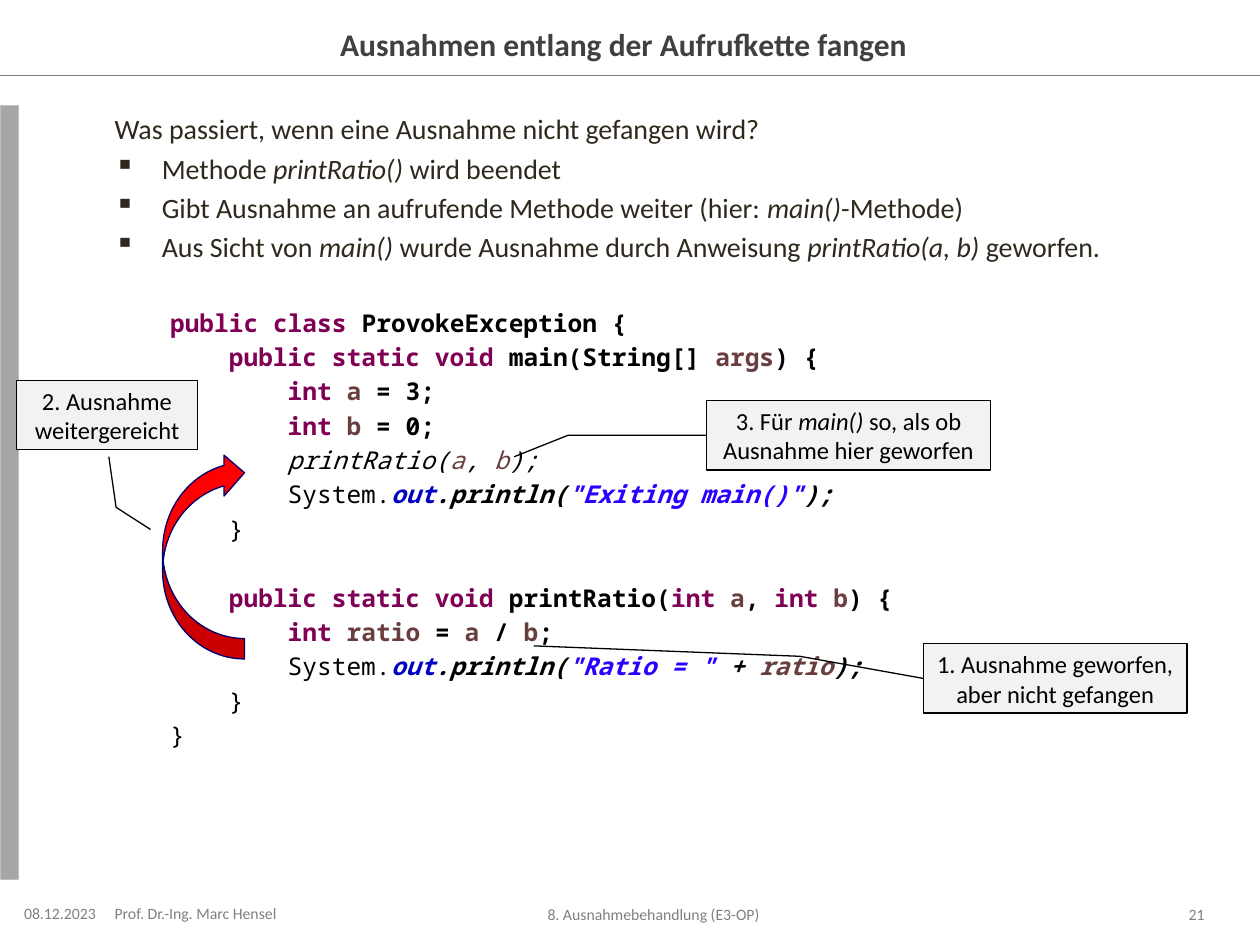
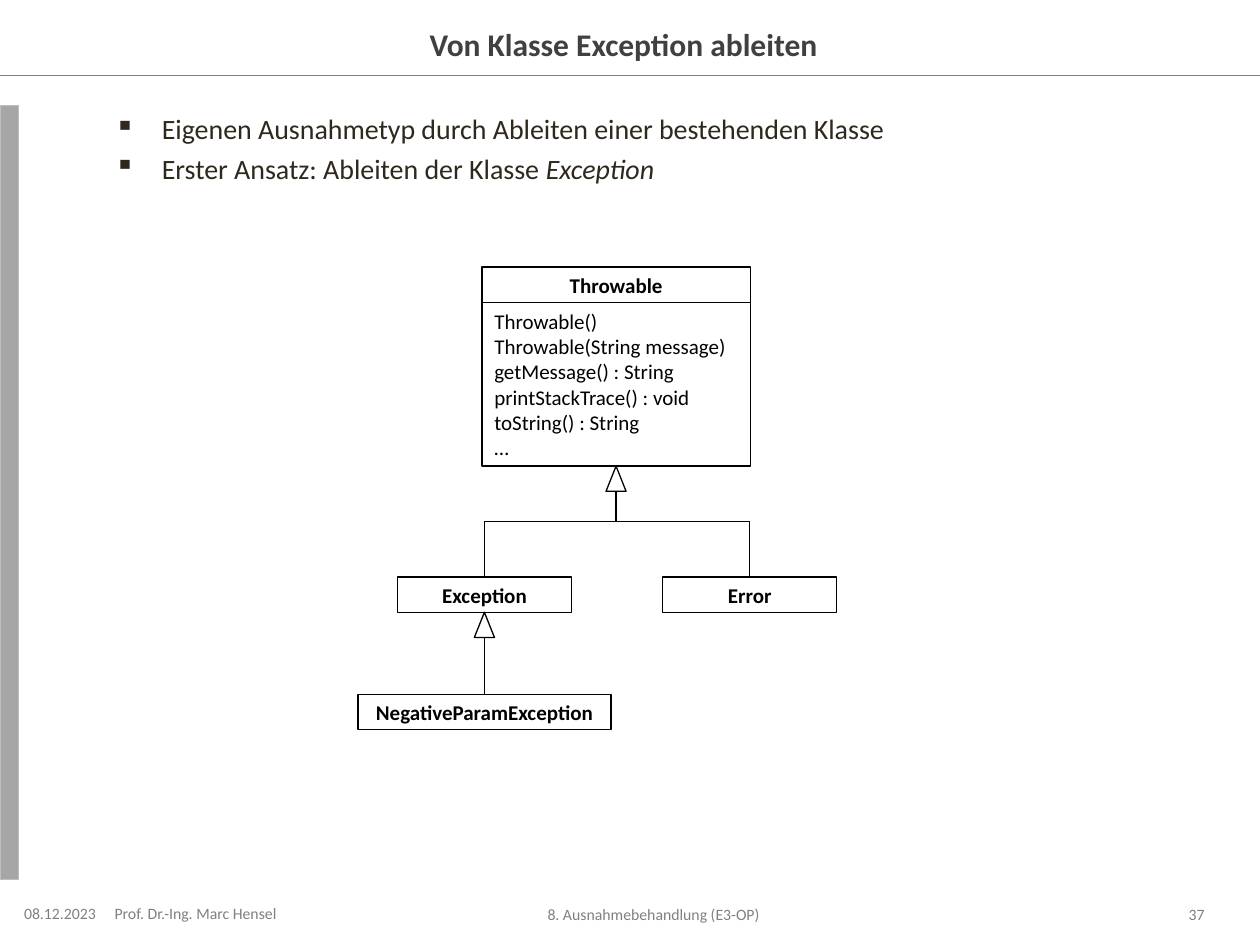
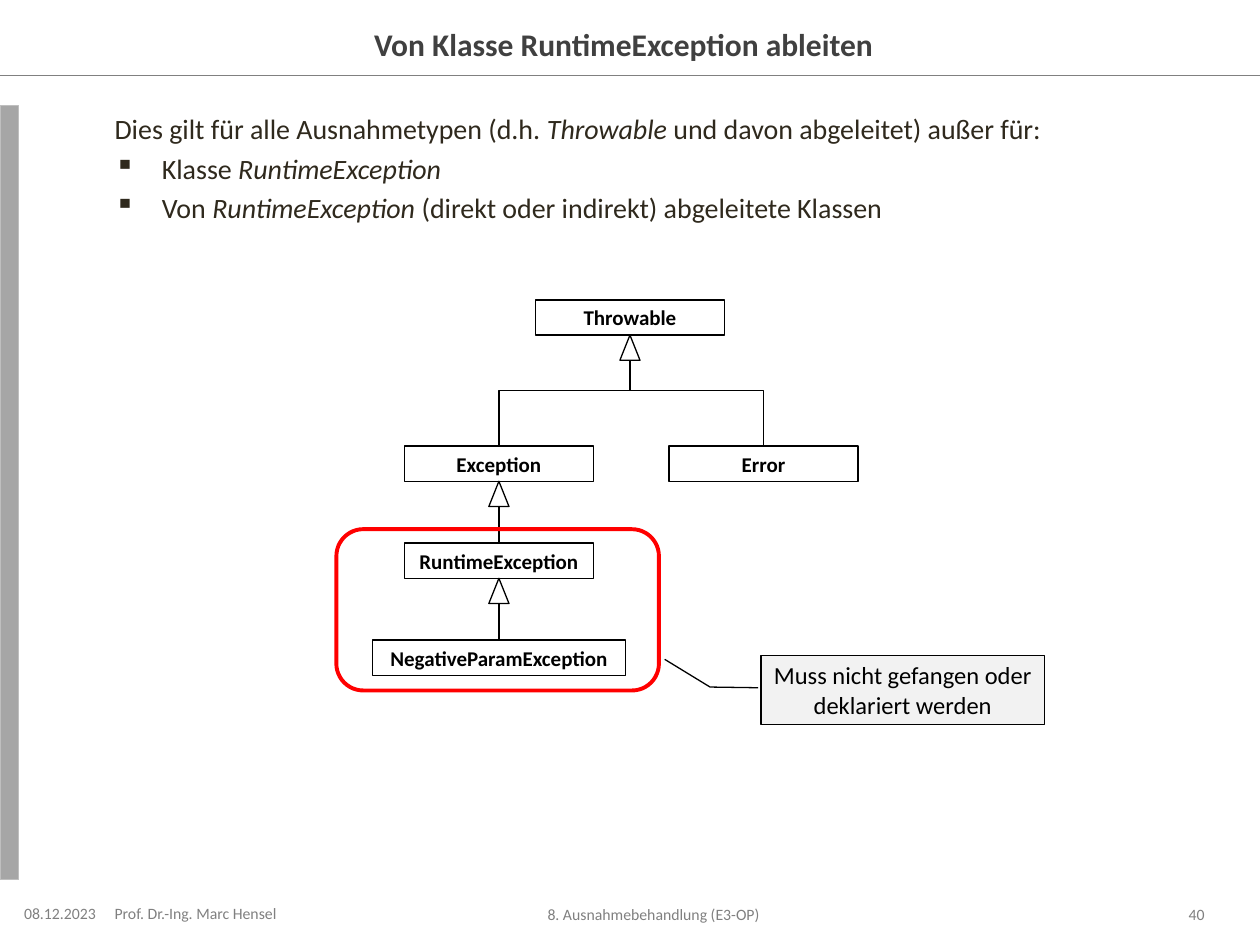
from lxml.etree import SubElement
from pptx import Presentation
from pptx.dml.color import RGBColor
from pptx.enum.shapes import MSO_CONNECTOR as LINE, MSO_SHAPE as SHAPE
from pptx.enum.text import MSO_ANCHOR as ANCHOR, PP_ALIGN as ALIGN
from pptx.oxml.ns import qn
from pptx.util import Inches, Pt

COLORS = {
    "black": "000000", "white": "FFFFFF", "title": "404040", "body": "2F291D",
    "footer": "808080", "bar": "A6A6A6", "bar_edge": "BFBFBF", "note": "F2F2F2",
    "red": "FF0000", "navy": "000070",
}
# Code styles: one letter for the colour, then b (bold) and i (italic)
CODE_COLORS = {"t": "000000", "k": "7F0055", "v": "6A3E3E", "f": "0000C0", "s": "2A00FF"}
SANS, MONO = "Calibri", "Noto Sans Mono"
COLS = 100               # square grid cells across the slide
TEXT_INSETS = (0, 0.5, 1, 0.5)
BOX_INSETS = (1, 0.5, 1, 0.5)
BOX_H = 2.8              # height of a class box
HEAD_W, HEAD_H = 1.6, 2  # inheritance arrowhead
CODE_LEFT, CODE_TAB = 4.4, 4.67
CHAPTER, AUTHOR, DATE = "8. Ausnahmebehandlung (E3-OP)", "Prof. Dr.-Ing. Marc Hensel", "08.12.2023"


def rgb(name):
    return RGBColor.from_string(COLORS.get(name, name))


class Deck:
    def __init__(self):
        self.prs = Presentation()
        self.prs.slide_width, self.prs.slide_height = Inches(10), Inches(7.5)
        self.cell = self.prs.slide_width / COLS
        self.slide = None

    def grid(self, *cells):
        return [round(c * self.cell) for c in cells]

    # Text
    def frame(self, sp, insets=BOX_INSETS, anchor=ANCHOR.MIDDLE):
        tf = sp.text_frame
        tf.word_wrap, tf.vertical_anchor = True, anchor
        (tf.margin_left, tf.margin_top,
         tf.margin_right, tf.margin_bottom) = self.grid(*insets)
        return tf

    def run(self, p, text, size, color="black", bold=False, italic=False, font=SANS):
        r = p.add_run()
        r.text = text
        r.font.name, r.font.size = font, Pt(size)
        r.font.bold, r.font.italic = bold, italic
        r.font.color.rgb = rgb(color)

    def marked(self, p, text, size, color="black", bold=False):
        """Add runs; parts between asterisks are italic."""
        for i, part in enumerate(text.split("*")):
            if part:
                self.run(p, part, size, color, bold, italic=i % 2 == 1)

    def lines(self, tf, texts, size, color="black", bold=False, align=ALIGN.LEFT):
        for i, text in enumerate(texts):
            p = tf.add_paragraph() if i else tf.paragraphs[0]
            p.alignment = align
            self.marked(p, text, size, color, bold)

    def label(self, at, text, align, insets=TEXT_INSETS):
        sp = self.slide.shapes.add_textbox(*self.grid(*at))
        self.lines(self.frame(sp, insets), [text], 9, "footer", align=align)

    def spacing(self, p, left=0, hang=0, gap=None):
        pPr = p._p.get_or_add_pPr()
        pPr.set("marL", str(self.grid(left)[0]))
        pPr.set("indent", str(self.grid(-hang)[0]))
        if gap:
            p.space_before = Pt(gap)
        else:
            before = SubElement(pPr, qn("a:spcBef"))
            SubElement(before, qn("a:spcPct")).set("val", "20000")
        if hang:
            SubElement(pPr, qn("a:buChar")).set("char", "▪")

    def body(self, texts, code=()):
        """Texts starting with "- " are bullets; code lines are (level, gap, runs)."""
        sp = self.slide.shapes.add_textbox(*self.grid(9.1, 8.4, 86.6, 61.4))
        tf = self.frame(sp, TEXT_INSETS, ANCHOR.TOP)
        for i, text in enumerate(texts):
            p = tf.add_paragraph() if i else tf.paragraphs[0]
            indent = 3.75 if text.startswith("- ") else 0
            self.spacing(p, indent, indent)
            self.marked(p, text.removeprefix("- "), 16, "body")
        for level, gap, runs in code:
            p = tf.add_paragraph()
            self.spacing(p, CODE_LEFT + level * CODE_TAB, gap=gap)
            for style, text in runs:
                self.run(p, text, 14, CODE_COLORS[style[0]], "b" in style, "i" in style, MONO)

    # Shapes and lines
    def shape(self, kind, at, fill=None, line="black", width=0.75):
        sp = self.slide.shapes.add_shape(kind, *self.grid(*at))
        sp.shadow.inherit = False
        if fill:
            sp.fill.solid()
            sp.fill.fore_color.rgb = rgb(fill)
        else:
            sp.fill.background()
        sp.line.color.rgb, sp.line.width = rgb(line), Pt(width)
        return sp

    def line(self, kind, start=(0, 0), end=(0, 0), color="black"):
        c = self.slide.shapes.add_connector(kind, *self.grid(*start, *end))
        c.line.color.rgb, c.line.width = rgb(color), Pt(0.75)
        SubElement(c._element.spPr, qn("a:effectLst"))
        return c

    def callout(self, at, text, adjustments):
        sp = self.shape(SHAPE.LINE_CALLOUT_2, at, "note")
        for i, value in enumerate(adjustments):
            sp.adjustments[i] = value
        self.lines(self.frame(sp), [text], 14, align=ALIGN.CENTER)

    # Class diagram
    def class_box(self, center, top, width, name):
        sp = self.shape(SHAPE.RECTANGLE, (center - width / 2, top, width, BOX_H), "white")
        self.lines(self.frame(sp), [name], 12, bold=True, align=ALIGN.CENTER)
        return sp

    def members(self, at, texts):
        sp = self.shape(SHAPE.RECTANGLE, at, "white")
        self.lines(self.frame(sp, anchor=ANCHOR.TOP), texts, 12)
        return sp

    def inherit(self, parent, *children):
        for child in children:
            c = self.line(LINE.ELBOW if len(children) > 1 else LINE.STRAIGHT)
            c.begin_connect(child, 0)
            c.end_connect(parent, 2)
            if len(children) > 1:
                self.upright(c)
        x = (parent.left + parent.width / 2) / self.cell
        y = (parent.top + parent.height) / self.cell
        self.shape(SHAPE.ISOSCELES_TRIANGLE, (x - HEAD_W / 2, y, HEAD_W, HEAD_H), "white")

    def upright(self, c):
        """Turn an elbow so that it leaves its child upwards."""
        dx, dy = c.end_x - c.begin_x, c.begin_y - c.end_y
        mid_x, mid_y = (c.begin_x + c.end_x) // 2, (c.begin_y + c.end_y) // 2
        c.width, c.height = dy, abs(dx)
        c.left, c.top = mid_x - dy // 2, mid_y - abs(dx) // 2
        xfrm = c._element.spPr.find(qn("a:xfrm"))
        xfrm.set("rot", str(270 * 60000))
        xfrm.set("flipH", "0")
        xfrm.set("flipV", "1" if dx < 0 else "0")

    # Slide with title, bands and footer
    def new_slide(self, title, number):
        self.slide = self.prs.slides.add_slide(self.prs.slide_layouts[5])
        self.line(LINE.STRAIGHT, (0, 6), (COLS, 6), "footer")
        self.shape(SHAPE.RECTANGLE, (0, 8.4, 1.5, 61.4), "bar", "bar_edge")
        sp = self.slide.shapes.title
        sp.left, sp.top, sp.width, sp.height = self.grid(12.4, 1.5, 75.2, 3.9)
        self.lines(self.frame(sp, TEXT_INSETS), [title], 18, "title", True, ALIGN.CENTER)
        self.label((24.8, 71.8, 55.1, 1.5), CHAPTER, ALIGN.CENTER)
        self.label((1.5, 71.7, 7.5, 1.6), DATE, ALIGN.CENTER)
        self.label((9.1, 71.7, 15, 1.5), AUTHOR, ALIGN.LEFT)
        self.label((89.2, 71.8, 6.4, 1.5), str(number), ALIGN.RIGHT, (1, 0.5, 0, 0.5))


def call_chain(deck):
    deck.new_slide("Ausnahmen entlang der Aufrufkette fangen", 21)
    deck.body([
        "Was passiert, wenn eine Ausnahme nicht gefangen wird?",
        "- Methode *printRatio()* wird beendet",
        "- Gibt Ausnahme an aufrufende Methode weiter (hier: *main()*-Methode)",
        "- Aus Sicht von *main()* wurde Ausnahme durch Anweisung *printRatio(a, b)* geworfen.",
    ], [
        (0, 25.5, [("kb", "public class "), ("tb", "ProvokeException {")]),
        (1, None, [("kb", "public static void"), ("tb", " main(String[] "), ("vb", "args"),
                   ("tb", ") {")]),
        (2, None, [("kb", "int "), ("vb", "a"), ("tb", " = 3;")]),
        (2, None, [("kb", "int "), ("vb", "b"), ("tb", " = 0;")]),
        (2, None, [("ti", "printRatio("), ("vi", "a"), ("ti", ", "), ("vi", "b"), ("ti", ");")]),
        (2, None, [("t", "System."), ("fbi", "out"), ("tbi", ".println("),
                   ("sbi", '"Exiting main()"'), ("tbi", ");")]),
        (1, None, [("t", "}")]),
        (1, 22.5, [("kb", "public static void "), ("tb", "printRatio("), ("kb", "int "),
                   ("vb", "a"), ("tb", ", "), ("kb", "int "), ("vb", "b"), ("tb", ") {")]),
        (2, None, [("kb", "int "), ("vb", "ratio"), ("tb", " = "), ("vb", "a"), ("tb", " / "),
                   ("vb", "b"), ("tb", ";")]),
        (2, None, [("t", "System."), ("fbi", "out"), ("tbi", ".println("), ("sbi", '"Ratio = "'),
                   ("tbi", " + "), ("vbi", "ratio"), ("tbi", ");")]),
        (1, None, [("t", "}")]),
        (0, None, [("t", "}")]),
    ])
    deck.callout((73.3, 51.1, 20.9, 5.5), "1. Ausnahme geworfen, aber nicht gefangen",
                 (0.5, 0, 0.18, -0.47, 0.03, -1.48))
    deck.callout((56.1, 31.8, 22.5, 5.5), "3. Für *main()* so, als ob Ausnahme hier geworfen",
                 (0.5, 0, 0.5, -0.49, 0.81, -0.68))
    arrow = deck.shape(SHAPE.CURVED_RIGHT_ARROW, (12.9, 35.9, 6.5, 16.4), "red", "navy")
    arrow.rotation = 180
    arrow._element.spPr.find(qn("a:xfrm")).set("flipH", "1")
    deck.callout((1.3, 30.2, 14.4, 5.5), "2. Ausnahme weitergereicht",
                 (1.1, 0.51, 1.83, 0.55, 2.15, 0.74))


def derive_exception(deck):
    deck.new_slide("Von Klasse Exception ableiten", 37)
    deck.body([
        "- Eigenen Ausnahmetyp durch Ableiten einer bestehenden Klasse",
        "- Erster Ansatz: Ableiten der Klasse *Exception*",
    ])
    deck.class_box(48.9, 21.2, 21.3, "Throwable")
    throwable = deck.members((38.25, 24, 21.3, 13), [
        "Throwable()", "Throwable(String message)", "getMessage() : String",
        "printStackTrace() : void", "toString() : String", "…",
    ])
    exception = deck.class_box(38.45, 45.8, 13.8, "Exception")
    error = deck.class_box(59.5, 45.8, 13.8, "Error")
    negative = deck.class_box(38.45, 55.1, 20.1, "NegativeParamException")
    deck.inherit(throwable, exception, error)
    deck.inherit(exception, negative)


def derive_runtime_exception(deck):
    deck.new_slide("Von Klasse RuntimeException ableiten", 40)
    deck.body([
        "Dies gilt für alle Ausnahmetypen (d.h. *Throwable* und davon abgeleitet) außer für:",
        "- Klasse *RuntimeException*",
        "- Von *RuntimeException* (direkt oder indirekt) abgeleitete Klassen",
    ])
    throwable = deck.class_box(50, 23.8, 15, "Throwable")
    exception = deck.class_box(39.6, 35.4, 15, "Exception")
    error = deck.class_box(60.6, 35.4, 15, "Error")
    runtime = deck.class_box(39.6, 43.1, 15, "RuntimeException")
    negative = deck.class_box(39.6, 50.8, 20.1, "NegativeParamException")
    deck.inherit(throwable, exception, error)
    deck.inherit(exception, runtime)
    deck.inherit(runtime, negative)
    deck.shape(SHAPE.ROUNDED_RECTANGLE, (26.7, 42, 25.6, 12.8), line="red", width=2.25)
    deck.callout((60.4, 52, 22.5, 5.5), "Muss nicht gefangen oder deklariert werden",
                 (0.47, -0.01, 0.46, -0.18, 0.06, -0.34))


def main():
    deck = Deck()
    call_chain(deck)
    derive_exception(deck)
    derive_runtime_exception(deck)
    deck.prs.save("out.pptx")


if __name__ == "__main__":
    main()
